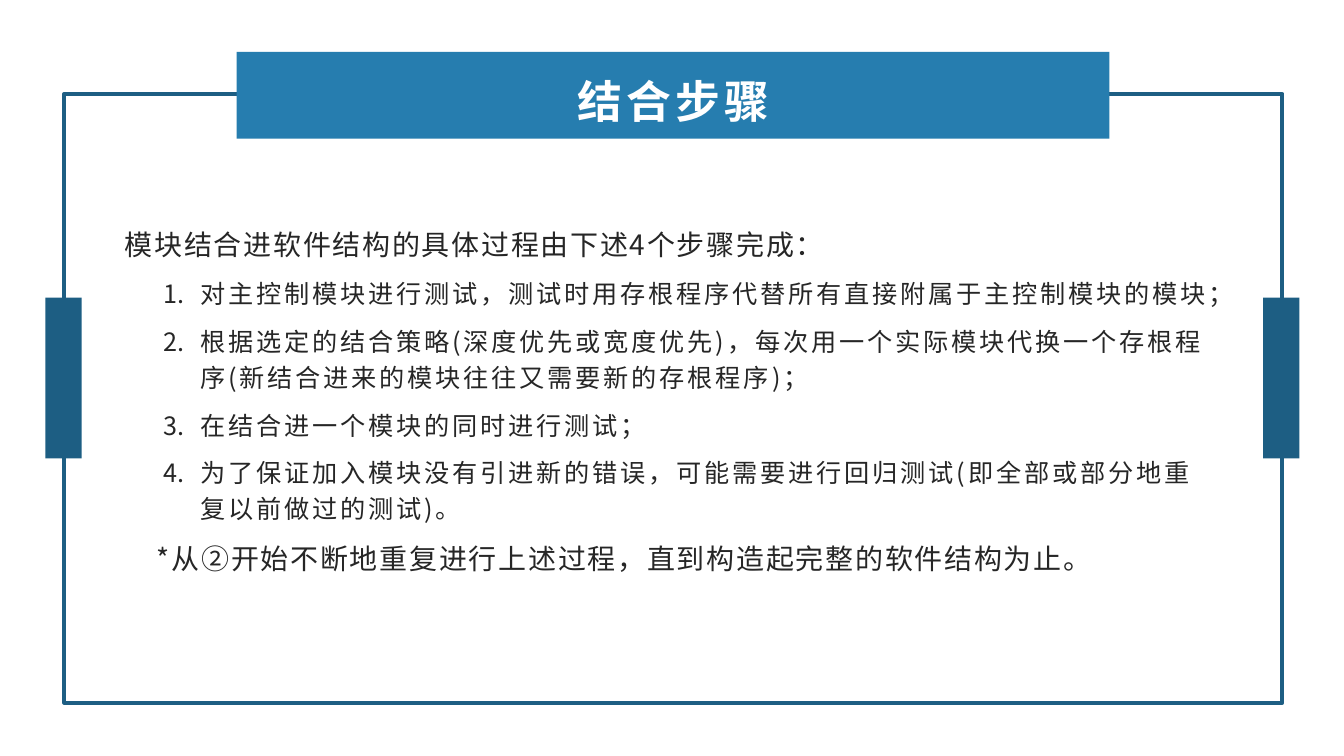
from pptx import Presentation
from pptx.dml.color import RGBColor
from pptx.enum.shapes import MSO_SHAPE as SHAPE
from pptx.enum.text import MSO_ANCHOR as ANCHOR, PP_ALIGN as ALIGN
from pptx.oxml.ns import qn
from pptx.util import Pt
from lxml.etree import SubElement

WIDTH, HEIGHT = 960, 540
WHITE, INK, BLUE, NAVY = "FFFFFF", "262626", "267DAF", "1D5E83"

INTRO = "模块结合进软件结构的具体过程由下述4个步骤完成："
STEPS = [
    "对主控制模块进行测试，测试时用存根程序代替所有直接附属于主控制模块的模块；",
    "根据选定的结合策略(深度优先或宽度优先)，每次用一个实际模块代换一个存根程序"
    "(新结合进来的模块往往又需要新的存根程序)；",
    "在结合进一个模块的同时进行测试；",
    "为了保证加入模块没有引进新的错误，可能需要进行回归测试(即全部或部分地重复以前做过的测试)。",
]
LOOP_NOTE = "*从②开始不断地重复进行上述过程，直到构造起完整的软件结构为止。"


def color(hex_string):
    return RGBColor.from_string(hex_string)


class SlideBuilder:
    font = "Noto Sans CJK SC"

    def __init__(self, prs):
        self.slide = prs.slides.add_slide(prs.slide_layouts[6])

    def rect(self, x, y, w, h, fill, line=None, weight=0):
        sp = self.slide.shapes.add_shape(SHAPE.RECTANGLE, Pt(x), Pt(y), Pt(w), Pt(h))
        sp.shadow.inherit = False
        sp.fill.solid()
        sp.fill.fore_color.rgb = color(fill)
        if line:
            sp.line.color.rgb = color(line)
            sp.line.width = Pt(weight)
        else:
            sp.line.fill.background()

    def text_box(self, x, y, w, h):
        """Add a wrapping, vertically centred text box and return its frame."""
        tf = self.slide.shapes.add_textbox(Pt(x), Pt(y), Pt(w), Pt(h)).text_frame
        tf.word_wrap = True
        tf.vertical_anchor = ANCHOR.MIDDLE
        return tf

    def paragraph(self, tf, text, size, spacing, fill=INK, bold=False,
                  align=ALIGN.LEFT, after=8, margin=0, hanging=0, numbered=False):
        p = tf.add_paragraph() if tf.text else tf.paragraphs[0]
        p.text = text
        pPr = p._p.get_or_add_pPr()
        pPr.set("marL", str(Pt(margin)))
        pPr.set("indent", str(-Pt(hanging)))
        if numbered:
            p.level = 1
            SubElement(pPr, qn("a:buAutoNum"), type="arabicPeriod")
        p.alignment = align
        p.line_spacing = 1.2
        p.space_after = Pt(after)
        r = p.runs[0]
        r.font.size = Pt(size)
        r.font.bold = bold
        r.font.color.rgb = color(fill)
        r.font.name = self.font
        rPr = r._r.get_or_add_rPr()
        rPr.set("spc", str(round(spacing * 100)))
        SubElement(rPr, qn("a:ea"), typeface=self.font)


def main():
    prs = Presentation()
    prs.slide_width, prs.slide_height = Pt(WIDTH), Pt(HEIGHT)
    s = SlideBuilder(prs)

    s.rect(46, 67, 870, 435, WHITE, NAVY, 2.75)

    banner = (169, 37, 623.5, 62)
    s.rect(*banner, BLUE)
    title = s.text_box(*banner)
    s.paragraph(title, "结合步骤", 32, 3, WHITE, bold=True, align=ALIGN.CENTER, after=0)

    body = s.text_box(82, 139.5, 796.5, 290)
    s.paragraph(body, INTRO, 20, 1.2)
    for step in STEPS:
        s.paragraph(body, step, 18, 2, margin=54, hanging=26, numbered=True)
    s.paragraph(body, LOOP_NOTE, 20, 1.2, margin=23)

    for tab_x in (32.4, 902.2):
        s.rect(tab_x, 212.5, 26, 115, NAVY)

    prs.save("out.pptx")


if __name__ == "__main__":
    main()
